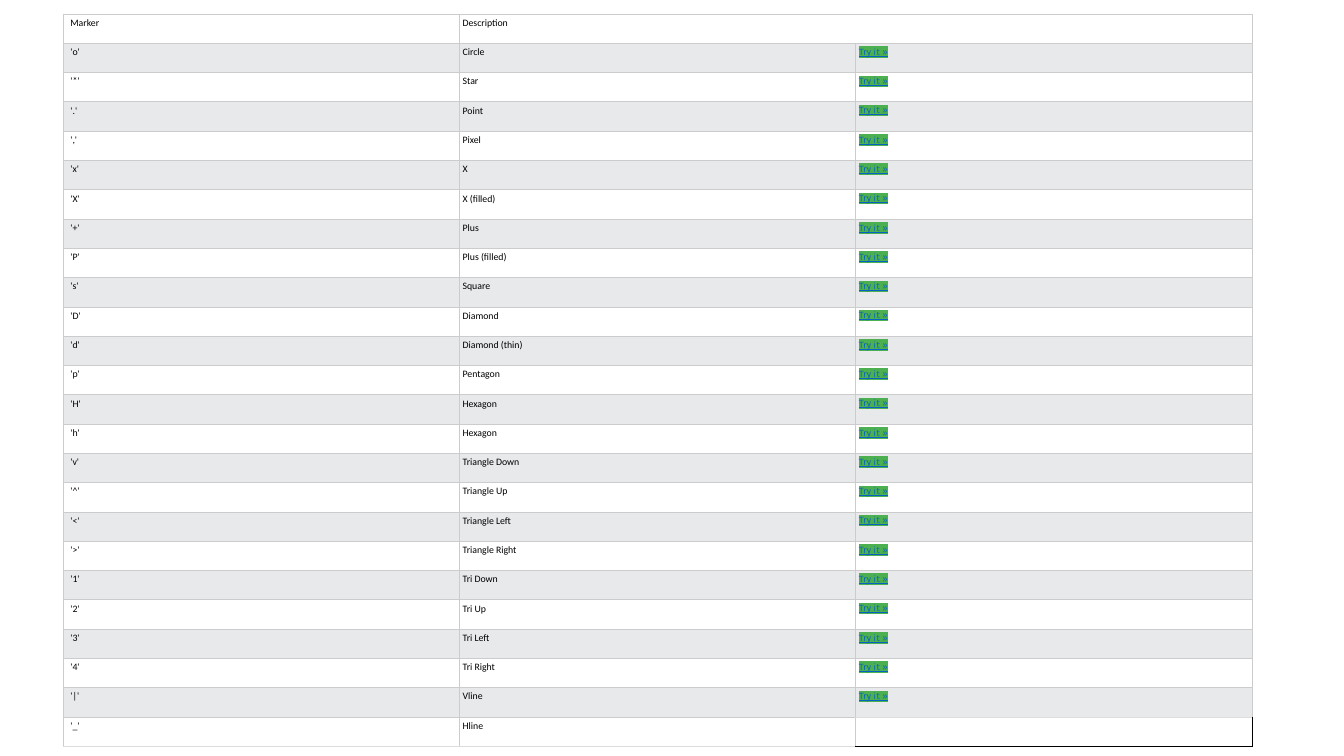
from lxml import etree
from pptx import Presentation
from pptx.dml.color import RGBColor
from pptx.oxml.ns import qn
from pptx.util import Inches, Pt

BLACK = RGBColor(0x00, 0x00, 0x00)
WHITE = RGBColor(0xFF, 0xFF, 0xFF)
BAND = RGBColor(0xE7, 0xE9, 0xEB)
EDGE = RGBColor(0xCC, 0xCC, 0xCC)
PALE = RGBColor(0xDD, 0xDD, 0xDD)
BLUE = RGBColor(0x05, 0x63, 0xC1)
GREEN = RGBColor(0x4C, 0xAF, 0x50)

MARKS = [
    ("'o'", "Circle"), ("'*'", "Star"), ("'.'", "Point"), ("','", "Pixel"),
    ("'x'", "X"), ("'X'", "X (filled)"), ("'+'", "Plus"),
    ("'P'", "Plus (filled)"), ("'s'", "Square"), ("'D'", "Diamond"),
    ("'d'", "Diamond (thin)"), ("'p'", "Pentagon"), ("'H'", "Hexagon"),
    ("'h'", "Hexagon"), ("'v'", "Triangle Down"), ("'^'", "Triangle Up"),
    ("'<'", "Triangle Left"), ("'>'", "Triangle Right"), ("'1'", "Tri Down"),
    ("'2'", "Tri Up"), ("'3'", "Tri Left"), ("'4'", "Tri Right"),
    ("'|'", "Vline"), ("'_'", "Hline"),
]
COLS, ROWS = 3, len(MARKS) + 1
LAST = ROWS - 1


class Sheet:
    """Hold the style and the current slide, measured in table columns and rows."""

    col = 3.93
    row = 7.27 / ROWS
    size = Pt(7)
    font = "Calibri"
    link = "Karla"

    def __init__(self, deck):
        self.slide = deck.slides.add_slide(deck.slide_layouts[6])

    def table(self, left, top, cols, rows):
        frame = self.slide.shapes.add_table(
            rows, cols, Inches(left * self.col), Inches(top * self.row),
            Inches(cols * self.col), Inches(rows * self.row))
        grid = frame.table
        grid.first_row = grid.horz_banding = False
        return grid

    def edges(self, cell, **sides):
        props = cell._tc.get_or_add_tcPr()
        for side in "LRTB":
            line = etree.SubElement(props, qn("a:ln" + side), w=str(Pt(0.75)))
            fill = etree.SubElement(line, qn("a:solidFill"))
            color = sides.get(side, EDGE)
            etree.SubElement(fill, qn("a:srgbClr"), val=str(color))

    def paint(self, cell, color):
        cell.fill.solid()
        cell.fill.fore_color.rgb = color

    def text(self, cell, words, inset=0.03, link=False):
        cell.margin_left = Inches(inset)
        cell.margin_top = cell.margin_right = cell.margin_bottom = Inches(0.03)
        run = cell.text_frame.paragraphs[0].add_run()
        run.text = words
        font = run.font
        font.size = self.size
        font.color.rgb = BLUE if link else BLACK
        if link:
            font.underline = True
            mark = etree.SubElement(run._r.get_or_add_rPr(), qn("a:highlight"))
            etree.SubElement(mark, qn("a:srgbClr"), val=str(GREEN))
        font.name = self.link if link else self.font

    def blank(self, cell):
        cell.fill.background()
        para = cell.text_frame.paragraphs[0]._p
        etree.SubElement(para, qn("a:endParaRPr"), sz=str(int(self.size.pt * 100)))


def main():
    deck = Presentation()
    deck.slide_width, deck.slide_height = Inches(13.33), Inches(7.5)
    sheet = Sheet(deck)
    grid = sheet.table(0.16, 0.48, COLS, ROWS)
    grid.cell(0, 1).merge(grid.cell(0, 2))

    for r, (mark, name) in enumerate([("Marker", "Description")] + MARKS):
        cells = [grid.cell(r, c) for c in range(COLS)]
        for c, cell in enumerate(cells):
            sides = {}
            if r == LAST:
                sides = {"B": PALE}
            if (r, c) == (LAST - 1, 2):
                sides = {"B": PALE}
            if (r, c) == (LAST, 2):
                sides = {"T": PALE, "R": BLACK, "B": BLACK}
            sheet.edges(cell, **sides)
            sheet.paint(cell, BAND if r % 2 else WHITE)
        sheet.text(cells[0], mark, inset=0.07)
        sheet.text(cells[1], name)
        if 0 < r < LAST:
            sheet.text(cells[2], "Try it »", link=True)
    sheet.blank(grid.cell(LAST, 2))

    deck.save("out.pptx")


if __name__ == "__main__":
    main()
